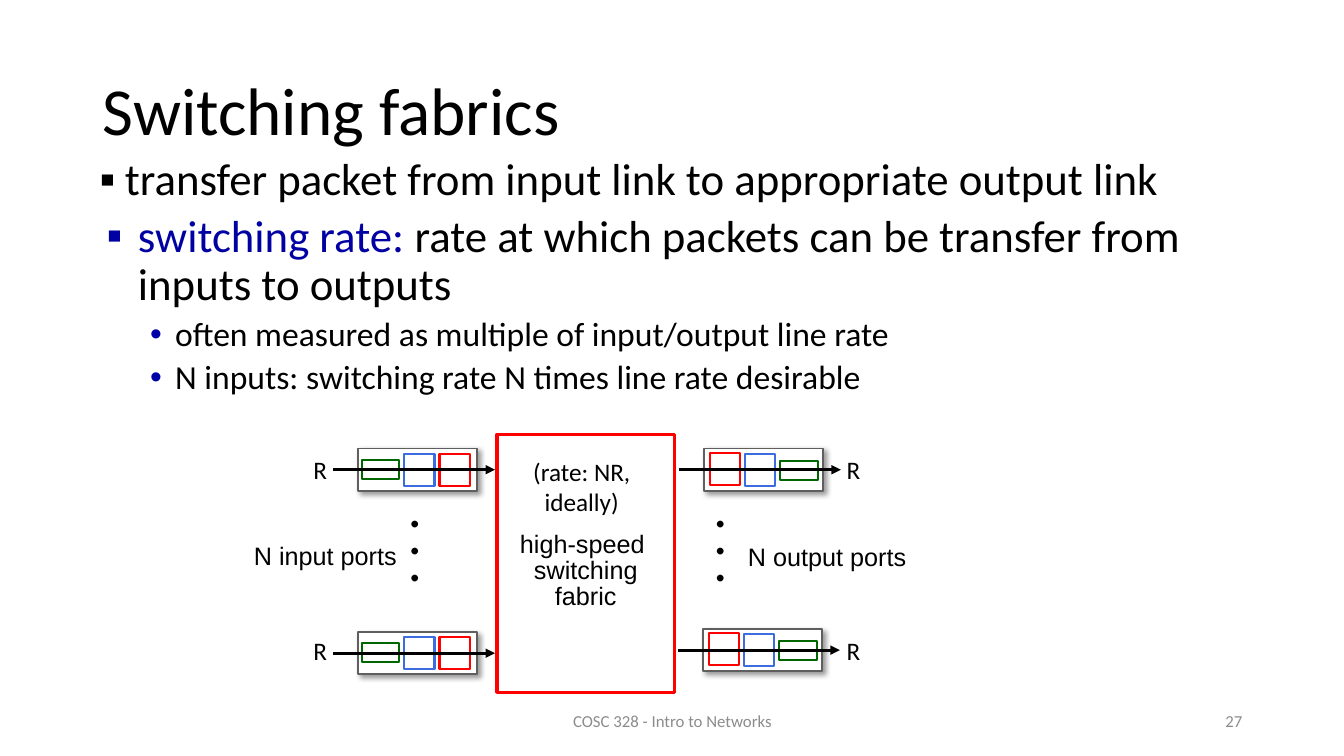
from lxml.etree import SubElement
from pptx import Presentation
from pptx.dml.color import RGBColor
from pptx.enum.shapes import MSO_CONNECTOR, MSO_SHAPE
from pptx.enum.text import MSO_ANCHOR, PP_ALIGN
from pptx.oxml import parse_xml
from pptx.oxml.ns import nsdecls, qn
from pptx.util import Pt

PX = 9144
BLACK, WHITE, GREY = "000000", "FFFFFF", "8C8C8C"
RED, BLUE, GREEN, FRAME = "FF0000", "3C6CDF", "006600", "5F5F5F"
TERM, SUB_BULLET = "0000A3", "0000A8"
LEFT, CENTER, RIGHT = PP_ALIGN.LEFT, PP_ALIGN.CENTER, PP_ALIGN.RIGHT

INPUT_PACKETS = [(4, 11, 37, 19, GREEN), (46, 5, 30, 32, BLUE), (81, 5, 30, 32, RED)]
OUTPUT_PACKETS = [(6, 4, 30, 32, RED), (41, 5, 30, 32, BLUE), (76, 12, 37, 19, GREEN)]


def px(*lengths):
    return [length * PX for length in lengths]


def rgb(color):
    return RGBColor.from_string(color)


def style(font, size, color=BLACK, name="Calibri"):
    font.size = Pt(size)
    font.name = name
    font.color.rgb = rgb(color)


def add_label(slide, box, lines, size=18, name="Calibri", color=BLACK, align=LEFT,
              wrap=False, anchor=MSO_ANCHOR.TOP, spacing=None, rotation=0):
    label = slide.shapes.add_textbox(*px(*box))
    label.rotation = rotation
    frame = label.text_frame
    frame.word_wrap = wrap
    frame.vertical_anchor = anchor
    frame.text = "\n".join(lines)
    for paragraph in frame.paragraphs:
        paragraph.alignment = align
        paragraph.line_spacing = spacing
        style(paragraph.font, size, color, name)


def add_bullets(slide, box, items):
    frame = slide.shapes.add_textbox(*px(*box)).text_frame
    frame.word_wrap = True
    for index, (parts, level, margin, hanging, mark, mark_color, size) in enumerate(items):
        paragraph = frame.paragraphs[0] if index == 0 else frame.add_paragraph()
        paragraph.level = level
        paragraph.line_spacing = 0.9
        if index:
            paragraph.space_before = Pt(5)
        properties = paragraph._p.get_or_add_pPr()
        properties.set("marL", str(margin * PX))
        properties.set("indent", str(-hanging * PX))
        bullet_color = SubElement(properties, qn("a:buClr"))
        SubElement(bullet_color, qn("a:srgbClr"), val=mark_color)
        SubElement(properties, qn("a:buFont"), typeface="Arial")
        SubElement(properties, qn("a:buChar"), char=mark)
        style(paragraph.font, size)
        for text, color in parts:
            run = paragraph.add_run()
            run.text = text
            if color != BLACK:
                run.font.color.rgb = rgb(color)


def add_box(slide, box, line_color, line_width):
    rectangle = slide.shapes.add_shape(MSO_SHAPE.RECTANGLE, *px(*box))
    rectangle.shadow.inherit = False
    rectangle.fill.solid()
    rectangle.fill.fore_color.rgb = rgb(WHITE)
    rectangle.line.color.rgb = rgb(line_color)
    rectangle.line.width = Pt(line_width)
    return rectangle


def add_drop_shadow(shape):
    effects = shape._element.spPr.find(qn("a:effectLst"))
    effects.append(parse_xml(
        f'<a:outerShdw {nsdecls("a")} blurRad="{Pt(4)}" dist="{Pt(3)}" dir="2700000" '
        'algn="ctr" rotWithShape="0"><a:srgbClr val="000000"><a:alpha val="40000"/>'
        '</a:srgbClr></a:outerShdw>'))


def add_arrow(slide, start, end, y):
    arrow = slide.shapes.add_connector(MSO_CONNECTOR.STRAIGHT, *px(start, y, end, y))
    arrow.line.color.rgb = rgb(BLACK)
    arrow.line.width = Pt(2.25)
    SubElement(arrow.line._get_or_add_ln(), qn("a:tailEnd"), type="triangle")
    SubElement(arrow._element.spPr, qn("a:effectLst"))


def add_port(slide, left, top, packets):
    add_drop_shadow(add_box(slide, (left, top, 118, 42), FRAME, 1.25))
    for dx, dy, width, height, color in packets:
        add_box(slide, (left + dx, top + dy, width, height), color, 1.5)
    add_arrow(slide, left - 25, left + 136, top + 21)


def add_title(slide):
    title = slide.shapes.title
    title.left, title.top, title.width, title.height = px(92, 40, 1150, 145)
    title.text_frame.text = "Switching fabrics"
    title.text_frame.vertical_anchor = MSO_ANCHOR.MIDDLE
    paragraph = title.text_frame.paragraphs[0]
    paragraph.alignment = LEFT
    paragraph.line_spacing = 0.9
    style(paragraph.font, 48)


def main():
    presentation = Presentation()
    presentation.slide_width, presentation.slide_height = px(1333, 750)
    slide = presentation.slides.add_slide(presentation.slide_layouts[5])

    add_title(slide)
    add_bullets(slide, (89, 151, 1207, 69), [
        ([("transfer packet from input link to appropriate output link", BLACK)],
         0, 25, 31, "▪", BLACK, 32)])
    add_bullets(slide, (88, 207, 1207, 253), [
        ([("switching rate: ", TERM),
          ("rate at which packets can be transfer from inputs to outputs", BLACK)],
         0, 39, 31, "▪", TERM, 32),
        ([("often measured as multiple of input/output line rate", BLACK)],
         1, 76, 25, "•", SUB_BULLET, 24),
        ([("N inputs: switching rate N times line rate desirable", BLACK)],
         1, 76, 25, "•", SUB_BULLET, 24)])

    add_box(slide, (493, 431, 176, 256), RED, 2.25)
    add_label(slide, (504, 448, 146, 71), ["(rate: NR, ideally)"], align=CENTER, wrap=True)
    add_label(slide, (505, 524, 152, 87), ["high-speed ", "switching", "fabric"],
              name="Arial", align=CENTER, spacing=0.85)

    for left, top, packets in [(355, 445, INPUT_PACKETS), (355, 627, INPUT_PACKETS),
                               (698, 445, OUTPUT_PACKETS), (697, 624, OUTPUT_PACKETS)]:
        add_port(slide, left, top, packets)
    for left in (301, 830):
        for top in (446, 625):
            add_label(slide, (left, top, 34, 40), ["R"])
    for left in (380, 683):
        add_label(slide, (left, 515, 101, 77), [". . . "], size=40, align=CENTER,
                  wrap=True, rotation=90)
    add_label(slide, (242, 531, 163, 40), ["N input ports"], name="Arial")
    add_label(slide, (732, 532, 179, 40), ["N output ports"], name="Arial")

    for box, text, align in [((442, 695, 450, 40), "COSC 328 - Intro to Networks", CENTER),
                             ((942, 695, 300, 40), "27", RIGHT)]:
        add_label(slide, box, [text], size=12, color=GREY, align=align, wrap=True,
                  anchor=MSO_ANCHOR.MIDDLE)

    presentation.save("out.pptx")


if __name__ == "__main__":
    main()
